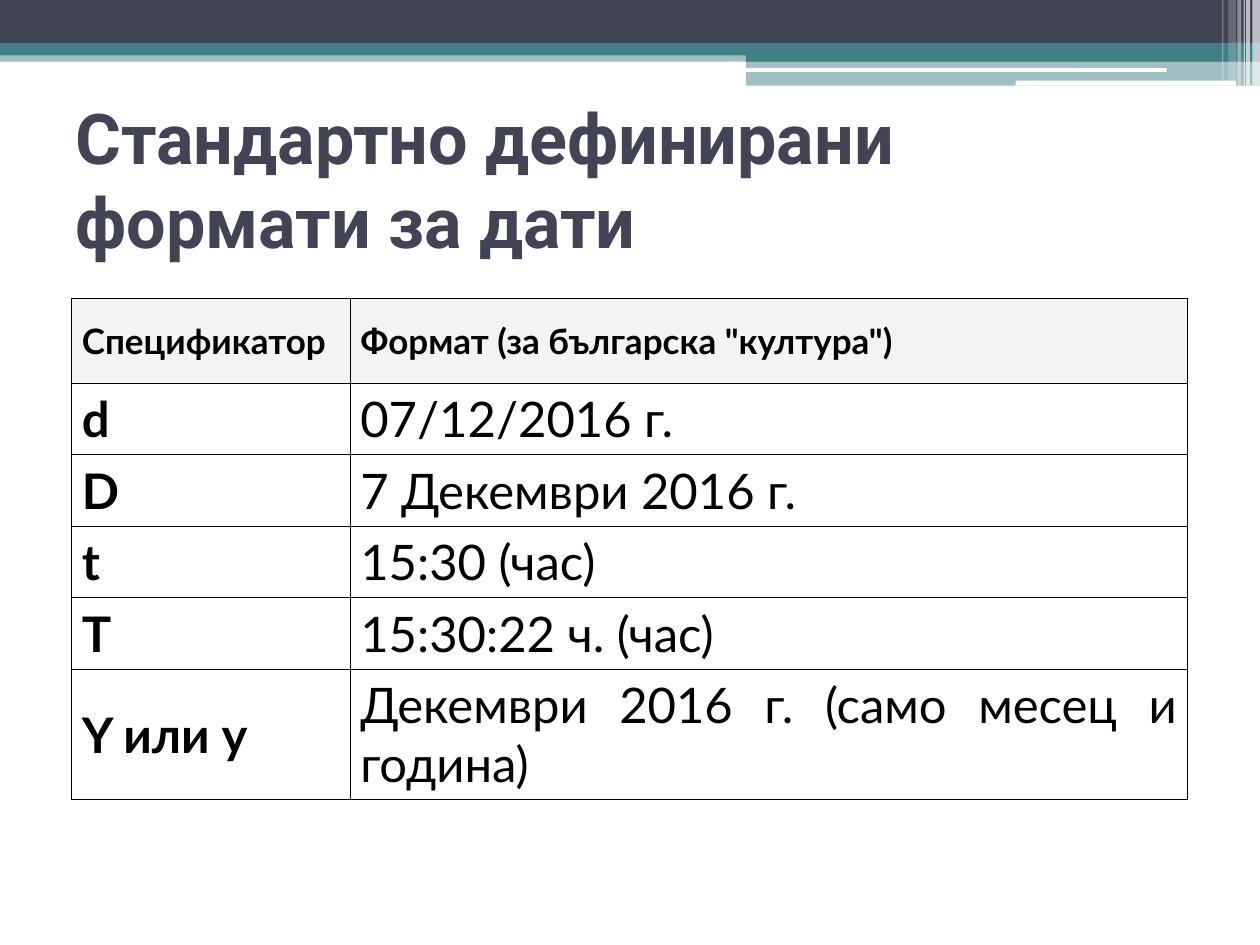
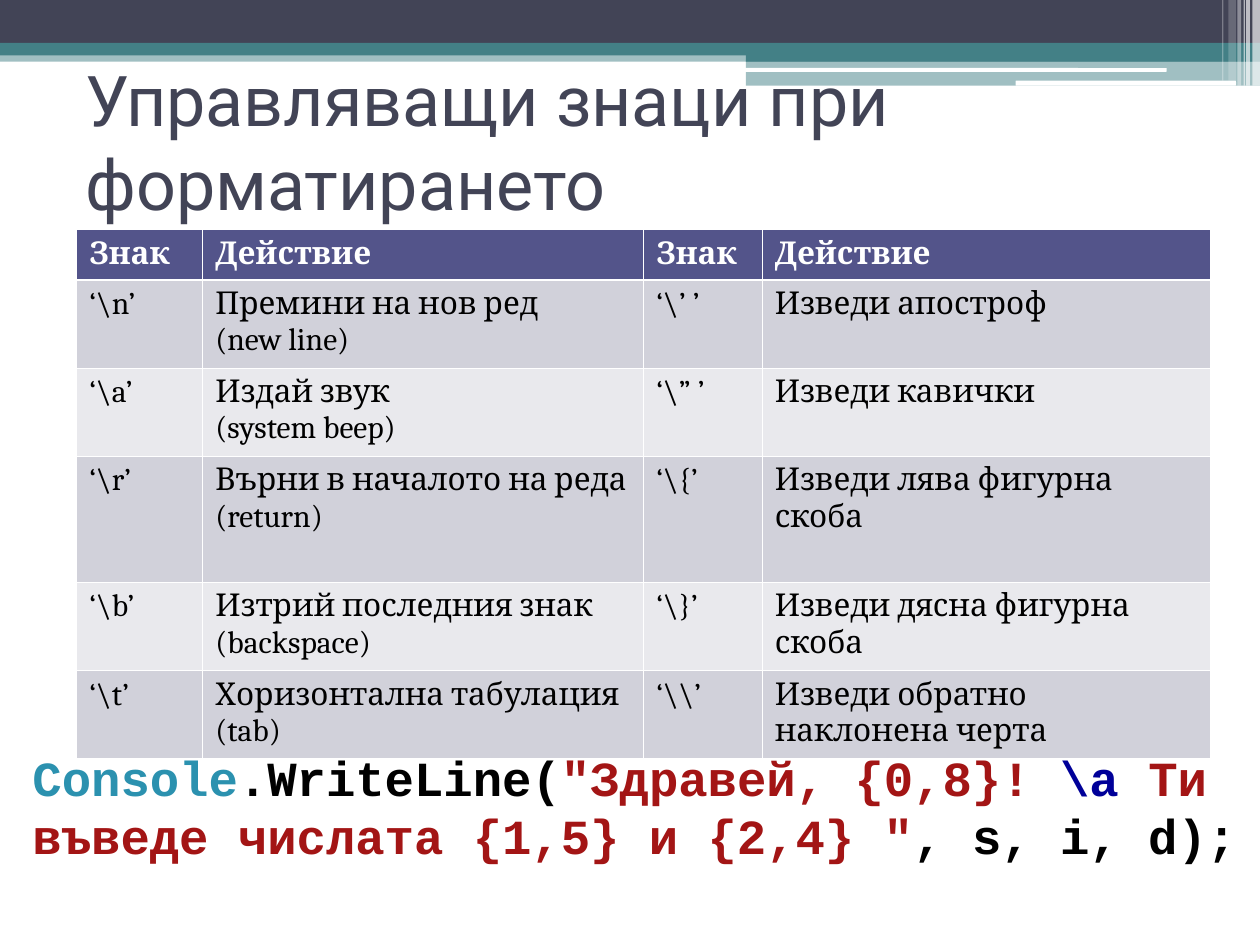
from dataclasses import dataclass
from typing import NamedTuple

from lxml.etree import SubElement
from pptx import Presentation
from pptx.dml.color import RGBColor
from pptx.enum.shapes import MSO_SHAPE as Shape
from pptx.enum.text import MSO_ANCHOR as Anchor, MSO_AUTO_SIZE as AutoSize, PP_ALIGN as Align
from pptx.oxml.ns import qn
from pptx.util import Inches, Pt


@dataclass(frozen=True)
class Theme:
    slate: str = "424456"
    teal: str = "438086"
    white: str = "FFFFFF"
    black: str = "000000"
    header_grey: str = "F3F3F3"
    header_violet: str = "53548A"
    stripe_dark: str = "D1D1DA"
    stripe_light: str = "E9E9ED"
    code_type: str = "2B91AF"
    code_string: str = "A31515"
    code_escape: str = "000099"
    title_font: str = "Roboto"
    format_font: str = "Lato"
    escape_font: str = "Cambria"
    code_font: str = "Courier New"
    title_size: float = 40
    large_size: float = 28
    header_size: float = 20
    small_size: float = 18
    thin: float = 0.45
    thick: float = 1.47


T = Theme()


class Box(NamedTuple):
    left: float
    top: float
    width: float
    height: float

    def emu(self) -> list:
        return [Inches(v) for v in self]


class Band(NamedTuple):
    box: Box
    color: str
    opacity: int = 100
    rounded: bool = False


class TextStyle(NamedTuple):
    font: str
    size: float
    color: str = T.black
    bold: bool = False


class CellStyle(NamedTuple):
    text: TextStyle
    fill: str
    line: str
    top: float = T.thin
    bottom: float = T.thin
    margin: float = 0.1
    anchor: Anchor = Anchor.TOP
    align: Align = Align.LEFT


BANDS = [
    Band(Box(0, 0.4, 10, 0.09), T.teal, 50),
    Band(Box(0, 0, 10, 0.34), T.slate),
    Band(Box(0, 0.34, 10, 0.1), T.teal),
    Band(Box(5.92, 0.39, 4.08, 0.1), T.teal),
    Band(Box(5.92, 0.48, 4.08, 0.2), T.teal, 50),
    Band(Box(5.91, 0.54, 3.35, 0.03), T.white, rounded=True),
    Band(Box(8.06, 0.64, 1.75, 0.04), T.white, rounded=True),
    Band(Box(9.94, 0, 0.06, 0.68), T.white, 65),
    Band(Box(9.89, 0, 0.03, 0.68), T.white, 65),
    Band(Box(9.87, 0, 0.01, 0.68), T.white, 60),
    Band(Box(9.82, 0, 0.03, 0.68), T.white, 40),
    Band(Box(9.75, 0, 0.06, 0.64), T.white, 20),
    Band(Box(9.7, 0, 0.01, 0.64), T.white, 30),
]

DATE_FORMATS = [
    ("Спецификатор", 'Формат (за българска "култура")'),
    ("d", "07/12/2016 г."),
    ("D", "7 Декември 2016 г."),
    ("t", "15:30 (час)"),
    ("T", "15:30:22 ч. (час)"),
    ("Y или y", "Декември 2016 г. (само месец и година)"),
]

ESCAPES = [
    ("Знак", "Действие") * 2,
    (r"‘\n’", "Премини на нов ред\n(new line)", r"‘\’ ’", "Изведи апостроф"),
    (r"‘\a’", "Издай звук\n(system beep)", r"‘\” ’", "Изведи кавички"),
    (r"‘\r’", "Върни в началото на реда\n(return)", r"‘\{’", "Изведи лява фигурна скоба"),
    (r"‘\b’", "Изтрий последния знак\n(backspace)", r"‘\}’", "Изведи дясна фигурна скоба"),
    (r"‘\t’", "Хоризонтална табулация\n(tab)", r"‘\\’", "Изведи обратно наклонена черта"),
]

CODE = [
    ("Console", T.code_type),
    (".WriteLine(", T.black),
    ('"Здравей, {0,8}! ', T.code_string),
    (r"\a ", T.code_escape),
    ('Ти въведе числата {1,5} и {2,4} "', T.code_string),
    (", s, i, d);", T.black),
]


def rgb(color: str) -> RGBColor:
    return RGBColor.from_string(color)


def add_run(p, text: str, style: TextStyle) -> None:
    r = p.add_run()
    r.text = text
    r.font.name = style.font
    r.font.size = Pt(style.size)
    r.font.bold = style.bold
    r.font.color.rgb = rgb(style.color)


def draw_band(s, band: Band):
    sp = s.shapes.add_shape(Shape.ROUNDED_RECTANGLE if band.rounded else Shape.RECTANGLE,
                            *band.box.emu())
    sp.shadow.inherit = False
    sp.line.fill.background()
    sp.fill.solid()
    sp.fill.fore_color.rgb = rgb(band.color)
    if band.opacity < 100:
        color = sp.element.find(".//" + qn("a:srgbClr"))
        SubElement(color, qn("a:alpha")).set("val", str(band.opacity * 1000))
    return sp


def move_bands_to_layout(s) -> None:
    layout = s.slide_layout
    for ph in list(layout.placeholders):
        if ph.placeholder_format.idx != 0:
            ph.element.getparent().remove(ph.element)
    for band in BANDS:
        layout.shapes.element.append(draw_band(s, band).element)


def set_title(s, text: str, box: Box, bold: bool) -> None:
    title = s.shapes.title
    title.left, title.top, title.width, title.height = box.emu()
    tf = title.text_frame
    tf.auto_size = AutoSize.NONE
    tf.vertical_anchor = Anchor.MIDDLE
    p = tf.paragraphs[0]
    p.alignment = Align.LEFT
    add_run(p, text, TextStyle(T.title_font, T.title_size, T.slate, bold))


def set_cell(cell, text: str, style: CellStyle) -> None:
    cell.margin_left = cell.margin_right = Inches(style.margin)
    cell.margin_top = cell.margin_bottom = Inches(0.05)
    cell.vertical_anchor = style.anchor
    tf = cell.text_frame
    for i, line in enumerate(text.split("\n")):
        p = tf.add_paragraph() if i else tf.paragraphs[0]
        p.alignment = style.align
        add_run(p, line, style.text)
    tc_pr = cell._tc.get_or_add_tcPr()
    sides = {"L": T.thin, "R": T.thin, "T": style.top, "B": style.bottom}
    for side, width in sides.items():
        ln = SubElement(tc_pr, qn(f"a:ln{side}"), w=str(Pt(width)))
        SubElement(SubElement(ln, qn("a:solidFill")), qn("a:srgbClr"), val=style.line)
    cell.fill.solid()
    cell.fill.fore_color.rgb = rgb(style.fill)


def add_table(s, left: float, top: float, cols: list[float], heights: list[float],
              rows: list, styles: list[list[CellStyle]]) -> None:
    box = Box(left, top, sum(cols), sum(heights))
    table = s.shapes.add_table(len(rows), len(cols), *box.emu()).table
    table.first_row = table.horz_banding = False
    for column, width in zip(table.columns, cols):
        column.width = Inches(width)
    for row, height, texts, row_styles in zip(table.rows, heights, rows, styles):
        row.height = Inches(height)
        for cell, text, style in zip(row.cells, texts, row_styles):
            set_cell(cell, text, style)


def format_styles() -> list[list[CellStyle]]:
    header = CellStyle(TextStyle(T.format_font, T.header_size, bold=True), T.header_grey,
                       T.black, margin=0.08, anchor=Anchor.MIDDLE, align=Align.JUSTIFY)
    key = header._replace(text=TextStyle(T.format_font, T.large_size, bold=True), fill=T.white)
    value = key._replace(text=TextStyle(T.format_font, T.large_size))
    return [[header] * 2] + [[key, value]] * (len(DATE_FORMATS) - 1)


def escape_styles() -> list[list[CellStyle]]:
    header = CellStyle(TextStyle(T.escape_font, T.small_size, T.white, True),
                       T.header_violet, T.white, bottom=T.thick)
    body = TextStyle(T.escape_font, T.small_size)
    styles = [[header] * 4]
    for i in range(len(ESCAPES) - 1):
        fill = T.stripe_light if i % 2 else T.stripe_dark
        styles.append([CellStyle(body, fill, T.white, top=T.thin if i else T.thick)] * 4)
    return styles


def add_code(s, box: Box) -> None:
    tf = s.shapes.add_textbox(*box.emu()).text_frame
    tf.word_wrap = True
    for text, color in CODE:
        add_run(tf.paragraphs[0], text, TextStyle(T.code_font, T.large_size, color, True))


def main() -> None:
    prs = Presentation()
    prs.slide_width, prs.slide_height = Inches(10), Inches(7.5)
    title_only = prs.slide_layouts[5]

    s = prs.slides.add_slide(title_only)
    move_bands_to_layout(s)
    set_title(s, "Стандартно дефинирани формати за дати", Box(0.5, 0.78, 9, 1.28), True)
    add_table(s, 0.57, 2.37, [2.21, 6.64], [0.67] + [0.47] * 4 + [0.93],
              DATE_FORMATS, format_styles())

    s = prs.slides.add_slide(title_only)
    set_title(s, "Управляващи знаци при форматирането", Box(0.58, 0.53, 9, 1.17), False)
    add_table(s, 0.61, 1.82, [1, 3.5, 0.94, 3.56], [0.4, 0.7, 0.7, 1, 0.7, 0.7],
              ESCAPES, escape_styles())
    add_code(s, Box(0.16, 5.88, 9.84, 1.04))

    prs.save("out.pptx")


if __name__ == "__main__":
    main()
